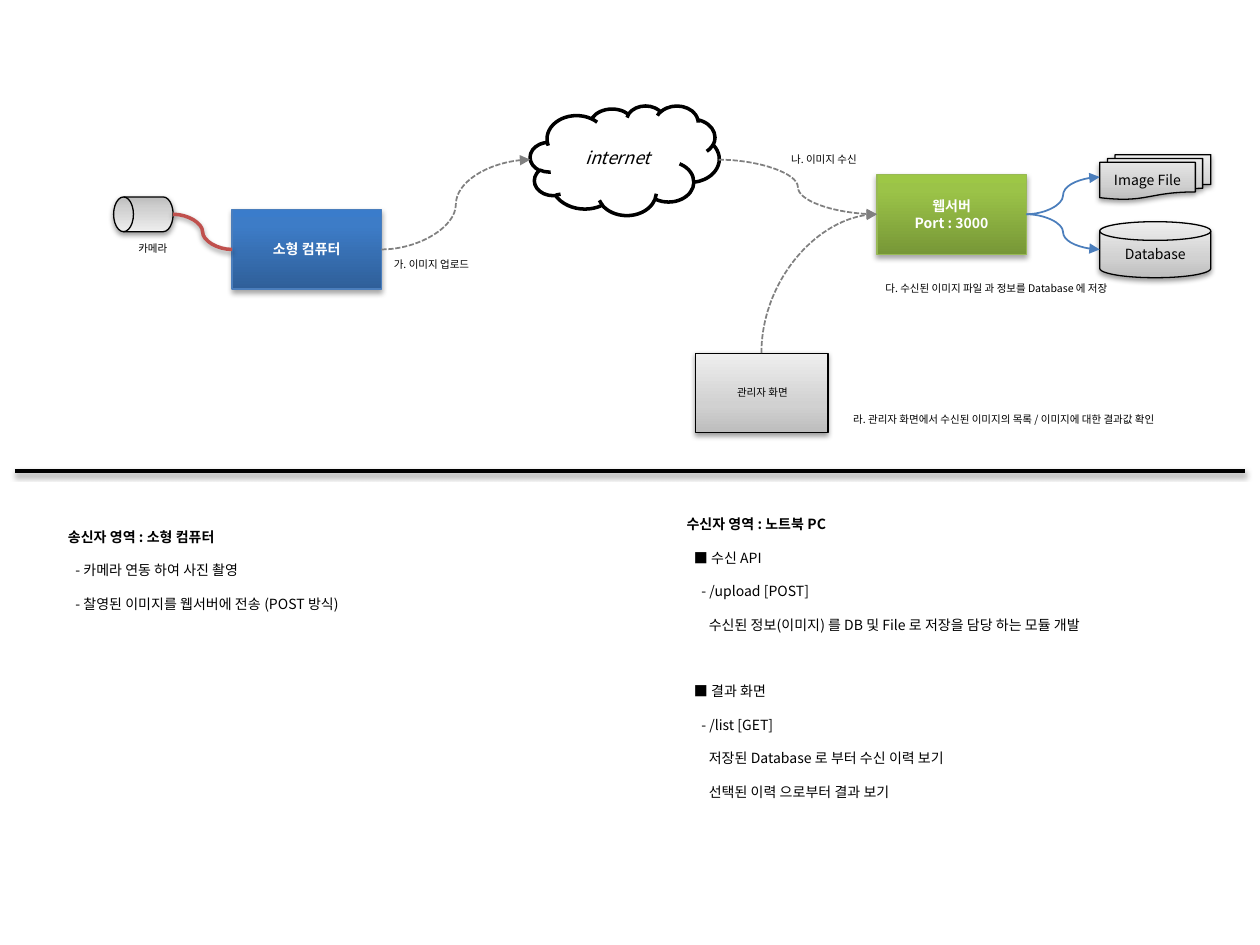
from lxml.etree import SubElement
from pptx import Presentation
from pptx.dml.color import RGBColor
from pptx.enum.dml import MSO_LINE
from pptx.enum.shapes import MSO_CONNECTOR as Link, MSO_SHAPE as Preset
from pptx.enum.text import MSO_ANCHOR as Anchor, MSO_AUTO_SIZE as AutoSize, PP_ALIGN as Align
from pptx.oxml.ns import qn
from pptx.util import Cm, Pt

BLUE = [(0, "2F5F99"), (80, "3D7CC7"), (100, "3A7CCB")]
GREEN = [(0, "779737"), (80, "9BC348"), (100, "9DC746")]
GREY = [(0, "BDBDBD"), (35, "D1D1D1"), (100, "EEEEEE")]


def color(code):
    return RGBColor.from_string(code)


class Board:
    """Holds the style and the slide being drawn; lengths are centimetres."""
    font = "Noto Sans CJK KR"
    ink = "000000"
    step = 0.15  # indent of one list level

    def __init__(self, slide):
        self.slide = slide

    def style(self, para, size, code=ink, bold=False, italic=False):
        for span in para.runs:
            font = span.font
            font.size, font.bold, font.italic = Pt(size), bold, italic
            font.color.rgb = color(code)
            font.name = self.font
            SubElement(font._element, qn("a:ea"), typeface=self.font)

    def shadow(self, effects, alpha, distance):
        outer = SubElement(effects, qn("a:outerShdw"), blurRad=str(Pt(3.1)),
                           dist=str(Pt(distance)), dir="5400000", rotWithShape="0")
        shade = SubElement(outer, qn("a:srgbClr"), val=self.ink)
        SubElement(shade, qn("a:alpha"), val=str(alpha * 1000))

    def gradient(self, shape, stops):
        shape.fill.gradient()
        shape.fill.gradient_angle = 90
        stop_list = shape._element.spPr.find(qn("a:gradFill")).find(qn("a:gsLst"))
        for old in list(stop_list):
            stop_list.remove(old)
        for place, code in stops:
            stop = SubElement(stop_list, qn("a:gs"), pos=str(place * 1000))
            SubElement(stop, qn("a:srgbClr"), val=code)

    def node(self, preset, at, text="", stops=None, line=ink, width=0.75,
             shade=(38, 1.6), turn=0, size=8, **look):
        shape = self.slide.shapes.add_shape(preset, *map(Cm, at))
        shape.rotation = turn
        if stops:
            self.gradient(shape, stops)
        else:
            shape.fill.solid()
            shape.fill.fore_color.rgb = color("FFFFFF")
        shape.line.color.rgb = color(line)
        shape.line.width = Pt(width)
        shape.shadow.inherit = False
        if shade:
            self.shadow(shape._element.spPr.find(qn("a:effectLst")), *shade)
        if text:
            frame = shape.text_frame
            frame.text = text
            frame.word_wrap = False
            frame.vertical_anchor = Anchor.MIDDLE
            for para in frame.paragraphs:
                para.alignment = Align.CENTER
                self.style(para, size, **look)

    def connector(self, start, end, code, width, kind=Link.CURVE, dashed=False,
                  arrow=False, shade=None):
        link = self.slide.shapes.add_connector(kind, *map(Cm, start + end))
        link.line.color.rgb = color(code)
        link.line.width = Pt(width)
        if dashed:
            link.line.dash_style = MSO_LINE.SQUARE_DOT
        properties = link._element.spPr
        if arrow:
            SubElement(properties.find(qn("a:ln")), qn("a:tailEnd"), type="triangle")
        effects = SubElement(properties, qn("a:effectLst"))
        if shade:
            self.shadow(effects, *shade)
        return link

    def quarter_curve(self, start, end, **look):
        """A single bend that leaves upwards and arrives from the left."""
        middle_x, middle_y = [(a + b) / 2 for a, b in zip(start, end)]
        half_w, half_h = abs(end[1] - start[1]) / 2, abs(end[0] - start[0]) / 2
        link = self.connector((middle_x + half_w, middle_y + half_h),
                              (middle_x - half_w, middle_y - half_h), **look)
        properties = link._element.spPr
        properties.find(qn("a:xfrm")).set("rot", "5400000")
        properties.find(qn("a:prstGeom")).set("prst", "curvedConnector2")

    def label(self, left, top, width, text):
        box = self.slide.shapes.add_textbox(Cm(left), Cm(top), Cm(width), Cm(0.51))
        frame = box.text_frame
        frame.text = text
        frame.word_wrap = False
        frame.auto_size = AutoSize.SHAPE_TO_FIT_TEXT
        self.style(frame.paragraphs[0], 6)

    def notes(self, at, title, items):
        """A bold title over items given as (level, text, space before)."""
        frame = self.slide.shapes.add_textbox(*map(Cm, at)).text_frame
        frame.word_wrap = True
        lines = [(0, title, 0)] + items
        frame.text = "\n".join(text for _, text, _ in lines)
        for para, (level, _, gap) in zip(frame.paragraphs, lines):
            para.line_spacing = 2.0
            para.space_before = Pt(gap)
            para._p.get_or_add_pPr().set("marL", str(Cm(level * self.step)))
            self.style(para, 8, bold=level == 0)


def main():
    deck = Presentation()
    deck.slide_width, deck.slide_height = Cm(25.4), Cm(19.05)
    board = Board(deck.slides.add_slide(deck.slide_layouts[6]))

    # Sender, cloud and web server
    board.node(Preset.RECTANGLE, (4.68, 4.22, 3.01, 1.61), "소형 컴퓨터", BLUE,
               "4B7EBC", shade=(35, 1.8), code="FFFFFF", bold=True)
    board.node(Preset.RECTANGLE, (17.68, 3.52, 3.01, 1.61), "웹서버\nPort : 3000", GREEN,
               "98B955", shade=(35, 1.8), code="FFFFFF", bold=True)
    board.node(Preset.CLOUD, (10.69, 2.13, 3.81, 2.21), "internet", width=2,
               shade=None, size=10, italic=True)

    # Camera, storage and admin screen
    board.node(Preset.FLOWCHART_DIRECT_ACCESS_STORAGE, (2.29, 3.97, 1.2, 0.7),
               stops=GREY, turn=180)
    board.node(Preset.FLOWCHART_MAGNETIC_DISK, (22.17, 4.47, 2.24, 1.13), "Database", GREY)
    board.node(Preset.FLOWCHART_MULTIDOCUMENT, (22.17, 3.12, 2.24, 0.9), "Image File", GREY)
    board.node(Preset.FLOWCHART_PROCESS, (14.02, 7.12, 2.67, 1.6), stops=GREY)

    # Links
    server_in, server_out = (17.68, 4.32), (20.69, 4.32)
    dashed = dict(code="808080", width=1, dashed=True, arrow=True)
    board.connector((7.69, 5.03), (10.69, 3.22), **dashed)
    board.connector((14.49, 3.22), server_in, **dashed)
    board.quarter_curve((15.35, 7.12), server_in, **dashed)
    for target_y in (5.03, 3.57):
        board.connector(server_out, (22.17, target_y), "4B7EBC", 1, arrow=True)
    board.connector((3.49, 4.32), (4.68, 5.03), "C0504D", 2, shade=(38, 1.6))

    # Labels
    for label in [
        (7.69, 5.08, 2.21, "가. 이미지 업로드"),
        (15.7, 2.96, 2.0, "나. 이미지 수신"),
        (2.54, 4.76, 1.14, "카메라"),
        (16.95, 8.2, 7.39, "라. 관리자 화면에서 수신된 이미지의 목록 / 이미지에 대한 결과값 확인"),
        (17.6, 5.56, 5.49, "다. 수신된 이미지 파일 과 정보를 Database 에 저장"),
        (14.61, 7.66, 1.65, "관리자 화면"),
    ]:
        board.label(*label)

    # Divider
    board.connector((0.3, 9.5), (25.1, 9.5), "000000", 2, Link.STRAIGHT, shade=(38, 1.6))

    # Descriptions
    board.notes((1.12, 10.19, 6.6, 2.31), "송신자 영역 : 소형 컴퓨터", [
        (1, "- 카메라 연동 하여 사진 촬영", 0),
        (1, "- 찰영된 이미지를 웹서버에 전송 (POST 방식)", 0),
    ])
    board.notes((13.59, 9.93, 9.53, 7.09), "수신자 영역 : 노트북 PC", [
        (1, "■ 수신 API", 0),
        (2, "- /upload [POST]", 0),
        (3, "수신된 정보(이미지) 를 DB 및 File 로 저장을 담당 하는 모듈 개발", 0),
        (1, "■ 결과 화면", 19),
        (2, "- /list [GET]", 0),
        (3, "저장된 Database 로 부터 수신 이력 보기", 0),
        (3, "선택된 이력 으로부터 결과 보기", 0),
    ])

    deck.save("out.pptx")


if __name__ == "__main__":
    main()
